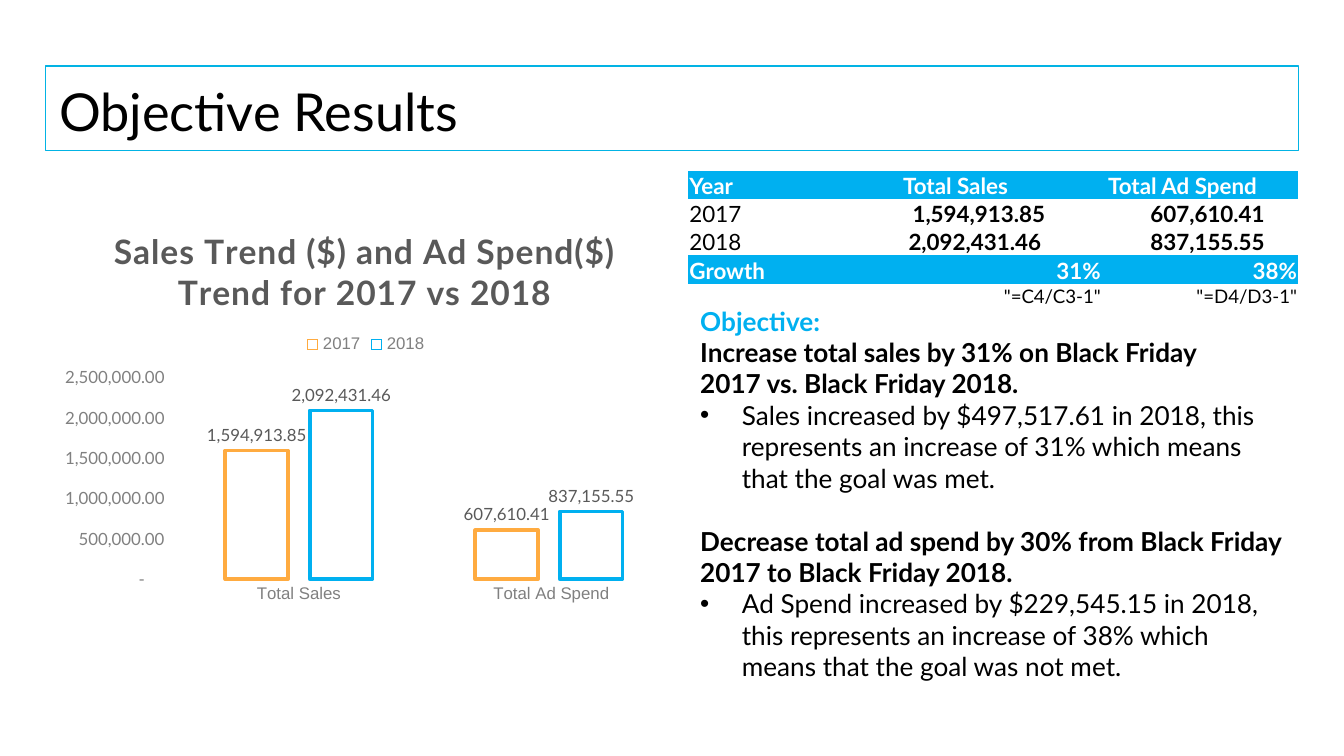
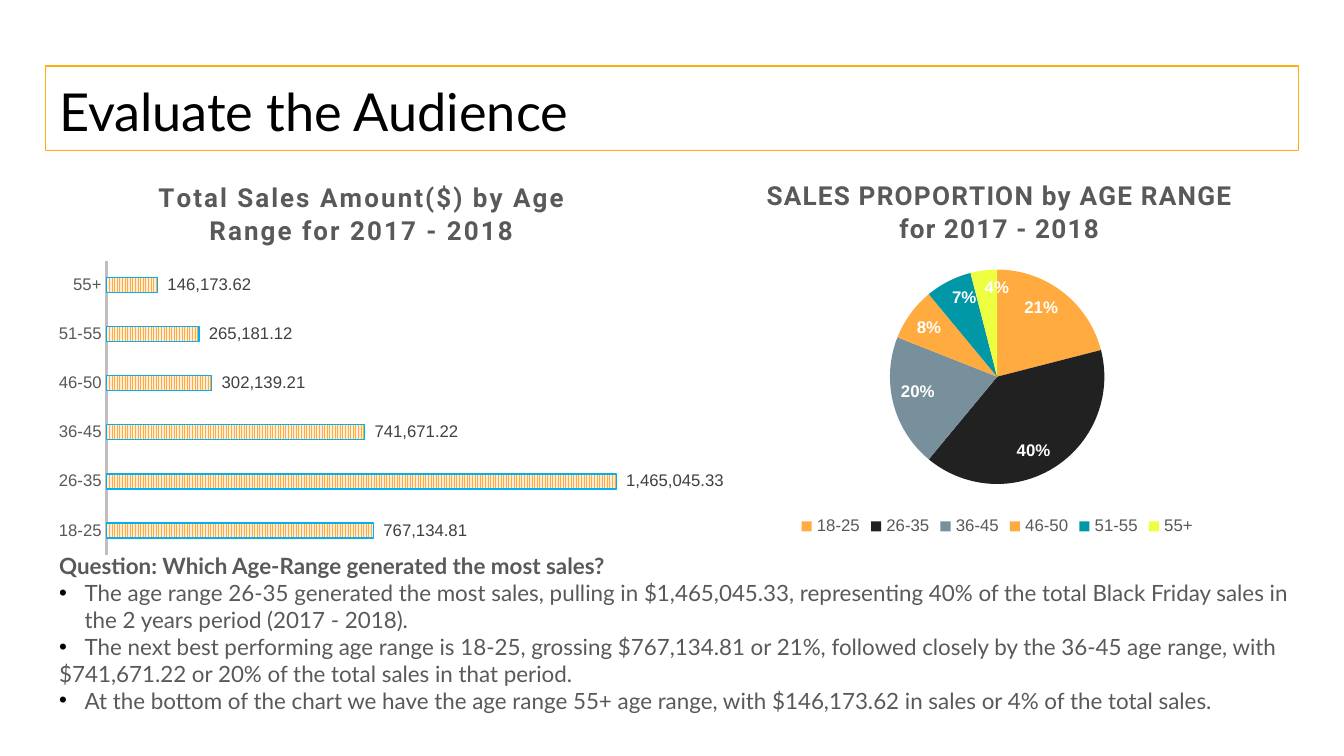
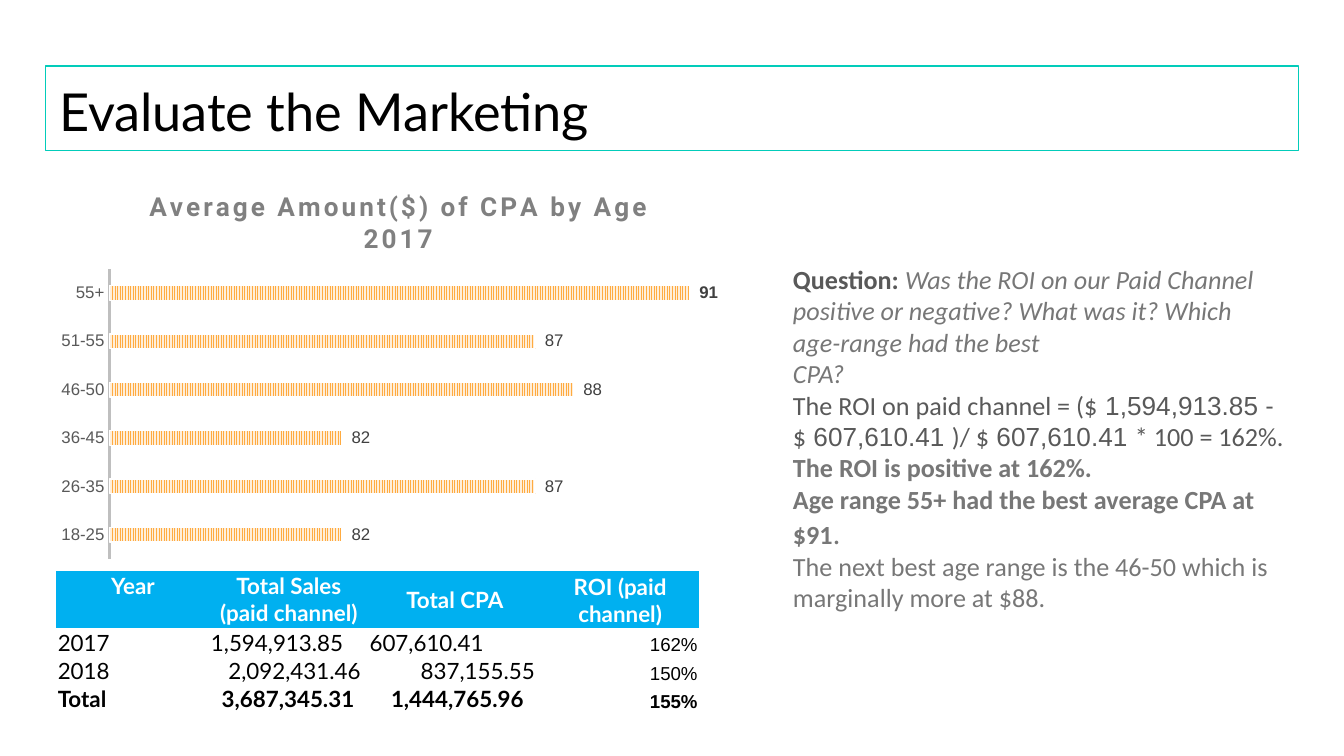
import dataclasses

import lxml.etree
import pptx
import pptx.chart.data
import pptx.dml.color
import pptx.enum.chart
import pptx.enum.dml
import pptx.enum.shapes
import pptx.enum.text
import pptx.oxml.ns
import pptx.util


@dataclasses.dataclass(frozen=True)
class Theme:
    black: str = "000000"
    white: str = "FFFFFF"
    dark: str = "404040"
    text: str = "595959"
    muted: str = "777777"
    gray: str = "808080"
    rule: str = "BFBFBF"
    blue: str = "00B0F0"
    orange: str = "FFAB40"
    cream: str = "FFEED9"
    frames: tuple = ("02B3E4", "FFAE0C", "02CCBA")
    slices: tuple = ("FFAB40", "212121", "78909C", "FFAB40", "0097A7", "EEFF41")
    heading: str = "Lato"
    prose: str = "Calibri"
    figures: str = "Arial"
    display: str = "Roboto"
    title_size: int = 28
    chart_title_size: int = 14
    body_size: int = 14
    table_size: int = 12
    small_size: int = 10
    label_size: int = 9


@dataclasses.dataclass
class Line:
    runs: list
    bullet: float = 0
    before: float = 0


THEME = Theme()
ACCOUNTING = '_(* #,##0.00_);_(* \\(#,##0.00\\);_(* "-"??_);_(@_)'
WHOLE = '_(* #,##0_);_(* \\(#,##0\\);_(* "-"??_);_(@_)'
PLAIN_TABLE = "{2D5ABB26-0587-4C30-8999-92F81FD0307C}"
AGES = ["18-25", "26-35", "36-45", "46-50", "51-55", "55+"]


def rgb(value):
    return pptx.dml.color.RGBColor.from_string(value)


def style_font(font, size=THEME.label_size, name=THEME.figures,
               color=THEME.black, bold=False, italic=False):
    font.size = pptx.util.Pt(size)
    font.name = name
    font.color.rgb = rgb(color)
    font.bold = bold
    font.italic = italic


def write(paragraph, text, tracking=0, **text_format):
    run = paragraph.add_run()
    run.text = text
    style_font(run.font, **text_format)
    if tracking:
        run.font._element.set("spc", str(tracking))


def set_empty_size(paragraph, size):
    tag = pptx.oxml.ns.qn("a:endParaRPr")
    lxml.etree.SubElement(paragraph._p, tag, sz=str(size * 100))


def set_bullet(paragraph, indent):
    properties = paragraph._p.get_or_add_pPr()
    width = pptx.util.Inches(indent)
    properties.set("marL", str(width))
    properties.set("indent", str(-width))

    def add(parent, tag, **attributes):
        return lxml.etree.SubElement(parent, pptx.oxml.ns.qn(tag), attributes)

    if indent:
        add(add(properties, "a:buClr"), "a:srgbClr", val=THEME.black)
        add(properties, "a:buFont", typeface=THEME.figures)
        add(properties, "a:buChar", char="•")
    else:
        add(properties, "a:buNone")


def set_layout(element, index, inner=False, **shares):
    qn = pptx.oxml.ns.qn
    for old in element.findall(qn("c:layout")):
        element.remove(old)
    layout = lxml.etree.Element(qn("c:layout"))
    manual = lxml.etree.SubElement(layout, qn("c:manualLayout"))
    if inner:
        lxml.etree.SubElement(manual, qn("c:layoutTarget"), val="inner")
    for mode in ("xMode", "yMode"):
        lxml.etree.SubElement(manual, qn("c:" + mode), val="edge")
    for key, share in shares.items():
        lxml.etree.SubElement(manual, qn("c:" + key), val=str(share))
    element.insert(index, layout)


class Deck:
    columns = 100
    rows = 56.25

    def __init__(self):
        self.theme = THEME
        self.presentation = pptx.Presentation()
        self.presentation.slide_width = pptx.util.Inches(10)
        self.presentation.slide_height = self.presentation.slide_width * 9 // 16
        self.slide = None

    def area(self, column, row, width, height):
        across = self.presentation.slide_width / self.columns
        down = self.presentation.slide_height / self.rows
        return (round(column * across), round(row * down),
                round(width * across), round(height * down))

    def place(self, shape, area):
        shape.left, shape.top, shape.width, shape.height = self.area(*area)

    def start(self, title, frame_color):
        layout = self.presentation.slide_layouts[1]
        self.slide = self.presentation.slides.add_slide(layout)
        shape = self.slide.shapes.title
        self.place(shape, (3.4, 4.9, 93.2, 6.3))
        shape.line.color.rgb = rgb(frame_color)
        shape.line.width = pptx.util.Pt(0.75)
        frame = shape.text_frame
        frame.auto_size = pptx.enum.text.MSO_AUTO_SIZE.NONE
        frame.vertical_anchor = pptx.enum.text.MSO_ANCHOR.TOP
        frame.margin_top = frame.margin_bottom = pptx.util.Inches(0.1)
        paragraph = frame.paragraphs[0]
        paragraph.alignment = pptx.enum.text.PP_ALIGN.LEFT
        write(paragraph, title, size=self.theme.title_size, name=self.theme.heading)

    def body(self, area, lines, **base):
        shape = self.slide.placeholders[1]
        self.place(shape, area)
        frame = shape.text_frame
        frame.word_wrap = True
        frame.auto_size = pptx.enum.text.MSO_AUTO_SIZE.NONE
        frame.vertical_anchor = pptx.enum.text.MSO_ANCHOR.TOP
        for index, line in enumerate(lines):
            paragraph = frame.add_paragraph() if index else frame.paragraphs[0]
            set_bullet(paragraph, line.bullet)
            paragraph.space_before = pptx.util.Pt(line.before)
            for text, changes in line.runs:
                write(paragraph, text, **{**base, **changes})

    def table(self, area, widths, heights, cells):
        shape = self.slide.shapes.add_table(len(heights), len(widths), *self.area(*area))
        next(shape._element.iter(pptx.oxml.ns.qn("a:tableStyleId"))).text = PLAIN_TABLE
        table = shape.table
        table.first_row = table.horz_banding = False
        for column, width in zip(table.columns, widths):
            column.width = self.area(0, 0, width, 0)[2]
        for row, height in zip(table.rows, heights):
            row.height = self.area(0, 0, 0, height)[3]
        for row, values in zip(table.rows, cells):
            for cell, value in zip(row.cells, values):
                self.fill_cell(cell, **value)

    def fill_cell(self, cell, text, align="LEFT", anchor="BOTTOM", indent=0.01,
                  fill=None, **text_format):
        cell.margin_left = pptx.util.Inches(indent)
        cell.margin_right = cell.margin_top = pptx.util.Inches(0.01)
        cell.margin_bottom = 0
        cell.vertical_anchor = pptx.enum.text.MSO_ANCHOR[anchor]
        if fill:
            cell.fill.solid()
            cell.fill.fore_color.rgb = rgb(fill)
        else:
            cell.fill.background()
        paragraph = cell.text_frame.paragraphs[0]
        paragraph.alignment = pptx.enum.text.PP_ALIGN[align]
        if text:
            defaults = {"size": self.theme.table_size, "name": self.theme.heading}
            write(paragraph, text, **{**defaults, **text_format})
        else:
            set_empty_size(paragraph, self.theme.small_size)

    def chart(self, kind, area, categories, series, title, title_x, plot, **title_format):
        data = pptx.chart.data.CategoryChartData()
        data.categories = categories
        for name, values in series.items():
            data.add_series(name, values)
        chart_type = pptx.enum.chart.XL_CHART_TYPE[kind]
        chart = self.slide.shapes.add_chart(chart_type, *self.area(*area), data).chart
        style_font(chart.font, size=self.theme.small_size)
        chart.has_legend = False
        chart.has_title = True
        frame = chart.chart_title.text_frame
        for index, text in enumerate(title):
            paragraph = frame.add_paragraph() if index else frame.paragraphs[0]
            write(paragraph, text, bold=True, **title_format)
        chart.chart_title.include_in_layout = False
        set_layout(chart.chart_title._element, 1, x=title_x, y=0.04)
        plot_area = next(chart._chartSpace.iter(pptx.oxml.ns.qn("c:plotArea")))
        set_layout(plot_area, 0, inner=True, **dict(zip("xywh", plot)))
        chart.plots[0].vary_by_categories = kind == "PIE"
        return chart

    def axes(self, chart, color, value_font, number_format, labels=True):
        for axis in (chart.category_axis, chart.value_axis):
            axis.has_major_gridlines = False
            axis.major_tick_mark = pptx.enum.chart.XL_TICK_MARK.NONE
            axis.minor_tick_mark = pptx.enum.chart.XL_TICK_MARK.NONE
            axis.format.line.fill.background()
        style_font(chart.category_axis.tick_labels.font, color=color)
        values = chart.value_axis.tick_labels
        style_font(values.font, color=color, name=value_font)
        values.number_format = number_format
        values.number_format_is_linked = False
        if not labels:
            chart.value_axis.tick_label_position = pptx.enum.chart.XL_TICK_LABEL_POSITION.NONE

    def labels(self, series, number_format, position="OUTSIDE_END", percent=False, **text_format):
        labels = series.data_labels
        labels.show_value = not percent
        labels.show_percentage = percent
        labels.number_format = number_format
        labels.number_format_is_linked = False
        labels.position = pptx.enum.chart.XL_LABEL_POSITION[position]
        style_font(labels.font, **text_format)

    def legend(self, chart, position, color):
        chart.has_legend = True
        chart.legend.position = pptx.enum.chart.XL_LEGEND_POSITION[position]
        chart.legend.include_in_layout = False
        style_font(chart.legend.font, color=color)

    def column_chart(self, area, categories, series, colors, title, title_x, plot):
        chart = self.chart("COLUMN_CLUSTERED", area, categories, series, title, title_x, plot,
                           size=18, name=self.theme.heading, color=self.theme.text, tracking=50)
        self.axes(chart, self.theme.gray, self.theme.heading, ACCOUNTING)
        self.legend(chart, "TOP", self.theme.gray)
        set_layout(chart.legend._element, 1, x=0.4, y=0.3)
        chart.plots[0].gap_width = 164
        chart.plots[0].overlap = -35
        for item, color in zip(chart.plots[0].series, colors):
            item.format.fill.background()
            item.format.line.color.rgb = rgb(color)
            item.format.line.width = pptx.util.Pt(2)
            self.labels(item, ACCOUNTING, name=self.theme.heading, color=self.theme.text)

    def bar_chart(self, area, values, title, title_x, plot, limits, outline, number_format,
                  color, tracking, bold_point=None):
        chart = self.chart("BAR_CLUSTERED", area, AGES, {"Series 1": values}, title, title_x,
                           plot, size=self.theme.chart_title_size, name=self.theme.display,
                           color=color, tracking=tracking)
        self.axes(chart, self.theme.text, self.theme.figures, number_format, labels=False)
        chart.value_axis.minimum_scale, chart.value_axis.maximum_scale = limits
        axis_line = chart.category_axis.format.line
        axis_line.color.rgb = rgb(self.theme.rule)
        axis_line.width = pptx.util.Pt(1.5)
        chart.plots[0].gap_width = 227
        chart.plots[0].overlap = -48
        series = chart.plots[0].series[0]
        fill = series.format.fill
        fill.patterned()
        fill.pattern = pptx.enum.dml.MSO_PATTERN.NARROW_VERTICAL
        fill.fore_color.rgb = rgb(self.theme.orange)
        fill.back_color.rgb = rgb(self.theme.cream)
        series.format.line.color.rgb = rgb(outline)
        series.format.line.width = pptx.util.Pt(0.75)
        self.labels(series, number_format, color=self.theme.dark)
        if bold_point is not None:
            label = series.points[bold_point].data_label
            style_font(label.font, color=self.theme.dark, bold=True)
            label.position = pptx.enum.chart.XL_LABEL_POSITION.OUTSIDE_END

    def pie_chart(self, area, values, title, title_x, plot):
        chart = self.chart("PIE", area, AGES, {"Series 1": values}, title, title_x, plot,
                           size=self.theme.chart_title_size, name=self.theme.display,
                           color=self.theme.text, tracking=50)
        self.legend(chart, "BOTTOM", self.theme.text)
        series = chart.plots[0].series[0]
        for index, color in enumerate(self.theme.slices):
            fill = series.points[index].format.fill
            fill.solid()
            fill.fore_color.rgb = rgb(color)
        self.labels(series, "0%", "INSIDE_END", percent=True, color=self.theme.white, bold=True)


def band(text, **options):
    return {"text": text, "fill": THEME.blue, "color": THEME.white, "bold": True, **options}


def number(text, indent=0.01, **options):
    return {"text": text, "indent": indent, **options}


def small(text, **options):
    return {"text": text, "align": "RIGHT", "size": THEME.small_size, **options}


def objective_results(deck):
    theme = deck.theme
    deck.start("Objective Results", theme.frames[0])
    deck.column_chart(
        (3.4, 15.5, 47.7, 30), ["Total Sales", " Total Ad Spend"],
        {"2017": [1594913.85, 607610.41], "2018": [2092431.46, 837155.55]},
        [theme.orange, theme.blue],
        ["Sales Trend ($) and Ad Spend($)", "Trend for 2017 vs 2018"],
        0.1, (0.2, 0.42, 0.78, 0.5))
    strong = {"bold": True}
    deck.body((51.1, 22.2, 45.5, 31.7), [
        Line([("Objective:", {"color": theme.blue, "bold": True})]),
        Line([("Increase total sales by 31% on Black Friday", strong)]),
        Line([("2017 vs. Black Friday 2018.", strong)]),
        Line([("Sales increased by $497,517.61 in 2018, this represents an increase of 31% "
               "which means that the goal was met.", {})], bullet=0.31),
        Line([("Decrease total ad spend by 30% from Black Friday", strong)], before=17),
        Line([("2017 to Black Friday 2018.", strong)]),
        Line([("Ad Spend increased by $229,545.15 in 2018, this represents an increase of 38% "
               "which means that the goal was not met.", {})], bullet=0.31),
    ], size=theme.body_size, name=theme.heading)
    deck.table((51.2, 12.7, 45.4, 10.1), [15.9, 14.9, 14.6], [2.1] * 4 + [1.7], [
        [band("Year"), band("Total Sales"), band(" Total Ad Spend")],
        [number("2017"), number("1,594,913.85", 0.08, bold=True),
         number("607,610.41", 0.36, bold=True)],
        [number("2018"), number("2,092,431.46", 0.05, bold=True),
         number("837,155.55", 0.36, bold=True)],
        [band("Growth"), band("31%", align="RIGHT"), band("38%", align="RIGHT")],
        [small(""), small('"=C4/C3-1"'), small('"=D4/D3-1"')],
    ])


def evaluate_audience(deck):
    theme = deck.theme
    deck.start("Evaluate the Audience", theme.frames[1])
    deck.bar_chart(
        (3.4, 11.9, 50.8, 30),
        [767134.81, 1465045.33, 741671.22, 302139.21, 265181.12, 146173.62],
        ["Total Sales Amount($) by Age", "Range for 2017 - 2018"], 0.16,
        (0.09, 0.25, 0.82, 0.73), (0, 1600000), theme.blue, ACCOUNTING, theme.text, 100)
    deck.pie_chart(
        (51.8, 11.8, 44.8, 28.5), [21, 40, 20, 8, 7, 4],
        ["SALES PROPORTION by AGE RANGE", "for 2017 - 2018"], 0.11,
        (0.32, 0.29, 0.36, 0.56))
    deck.body((3.4, 40.6, 94.3, 13.1), [
        Line([("Question: Which Age-Range generated the most sales?", {"bold": True})]),
        Line([("The age range 26-35 generated the most sales, pulling in $1,465,045.33, "
               "representing 40% of the total Black Friday sales in the 2 years period "
               "(2017 - 2018).", {})], bullet=0.19),
        Line([("The next best performing age range is 18-25, grossing $767,134.81 or 21%, "
               "followed closely by the 36-45 age range, with", {})], bullet=0.19),
        Line([("$741,671.22 or 20% of the total sales in that period.", {})]),
        Line([("At the bottom of the chart we have the age range 55+ age range, with "
               "$146,173.62 in sales or 4% of the total sales.", {})], bullet=0.19),
    ], size=theme.table_size, name=theme.heading, color=theme.text)


def evaluate_marketing(deck):
    theme = deck.theme
    deck.start("Evaluate the Marketing", theme.frames[2])
    question = {"color": theme.muted, "italic": True}
    muted = {"color": theme.muted}
    answer = {"color": theme.muted, "bold": True}
    figure = {"name": theme.figures}
    deck.body((58, 19.1, 38.6, 32), [
        Line([("Question: ", {"bold": True}),
              ("Was the ROI on our Paid Channel positive or negative? What was it? "
               "Which age-range had the best", question)]),
        Line([("CPA?", question)]),
        Line([("The ROI on paid channel = ($", {}), (" 1,594,913.85 ", figure), ("-", {})]),
        Line([("$", {}), (" 607,610.41 ", figure), (")/ $", {}),
              (" 607,610.41 ", figure), ("* 100 = 162%.", {})]),
        Line([("The ROI is positive at 162%.", answer)]),
        Line([("Age range 55+ had the best average CPA at $91", answer),
              (".", {"color": theme.muted, "size": 16})]),
        Line([("The next best age range is the 46-50 which is marginally more at $88.", muted)]),
    ], size=theme.body_size, name=theme.prose, color=theme.text)
    deck.bar_chart(
        (3.4, 12.5, 52.9, 30), [82, 87, 82, 88, 87, 91],
        ["Average Amount($) of CPA by Age", "2017"], 0.14,
        (0.09, 0.25, 0.87, 0.72), (76, 92), theme.white, WHOLE, theme.gray, 150, bold_point=5)
    percent = {"name": theme.figures}
    deck.table((4.2, 42.5, 47.8, 10.4), [11.4, 11.8, 12.9, 11.7], [4.2] + [2.1] * 3, [
        [band(text, align="CENTER", anchor=anchor) for text, anchor in (
            ("Year", "TOP"), ("Total Sales (paid channel)", "TOP"),
            ("Total CPA", "MIDDLE"), ("ROI (paid channel)", "MIDDLE"))],
        [number("2017"), number("1,594,913.85"), number("607,610.41"),
         small("162%", **percent)],
        [number("2018"), number("2,092,431.46", 0.14), number("837,155.55", 0.39),
         small("150%", **percent)],
        [number("Total", bold=True), number("3,687,345.31", 0.09, bold=True),
         number("1,444,765.96", 0.17, bold=True), small("155%", bold=True, **percent)],
    ])


def main():
    deck = Deck()
    objective_results(deck)
    evaluate_audience(deck)
    evaluate_marketing(deck)
    deck.presentation.save("out.pptx")


if __name__ == "__main__":
    main()
